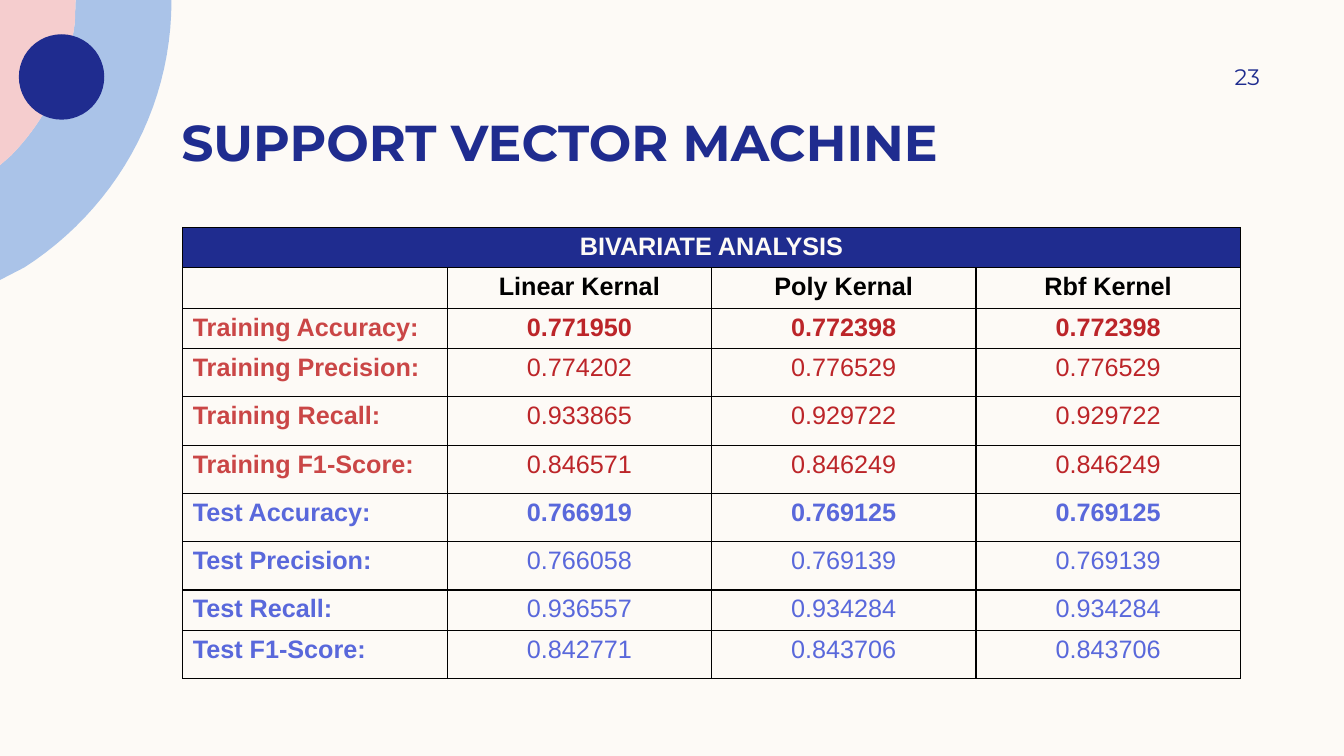
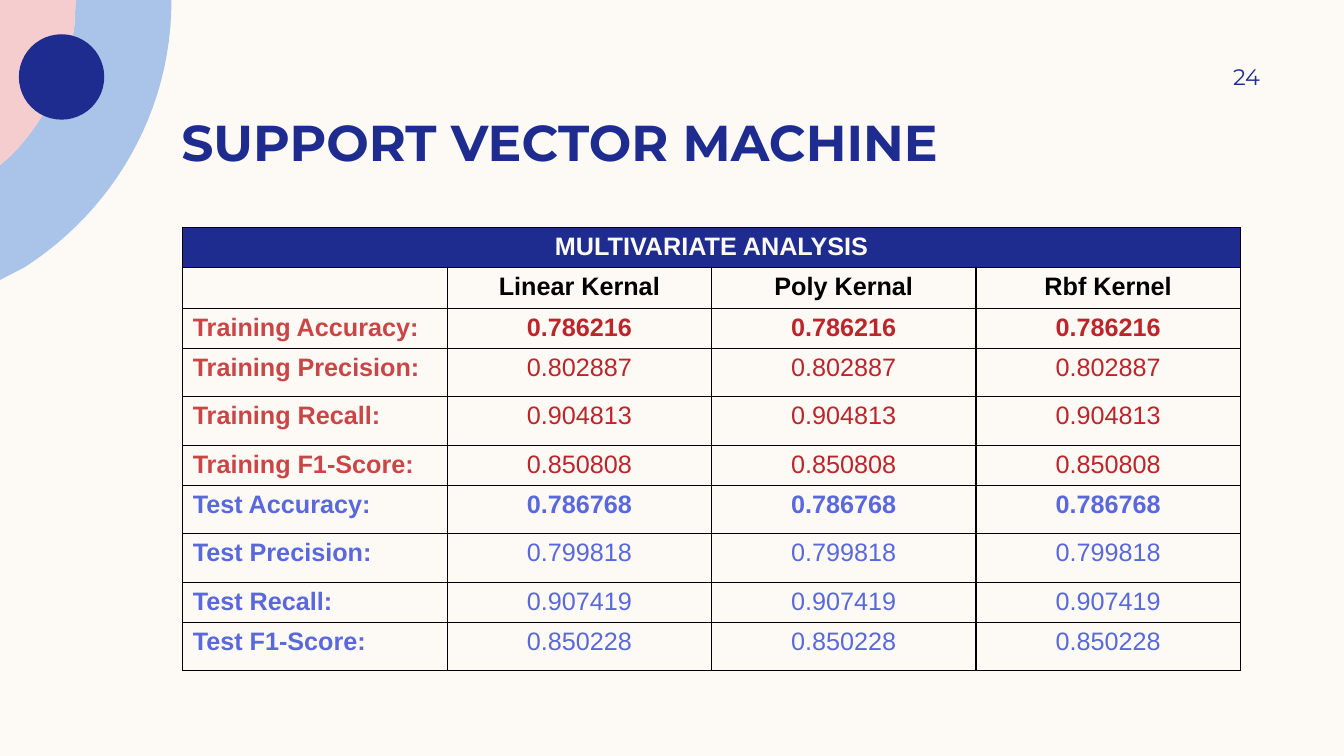
from lxml import etree
from pptx import Presentation
from pptx.dml.color import RGBColor
from pptx.enum.shapes import MSO_SHAPE
from pptx.enum.text import MSO_ANCHOR, MSO_AUTO_SIZE, PP_ALIGN
from pptx.oxml.ns import qn
from pptx.util import Pt

SLIDE_W, SLIDE_H = 1920, 1080
SCALE = 12192000 / SLIDE_W  # EMU per px

OVAL = MSO_SHAPE.OVAL
TOP, MIDDLE, BOTTOM = MSO_ANCHOR.TOP, MSO_ANCHOR.MIDDLE, MSO_ANCHOR.BOTTOM
LEFT, CENTER, RIGHT = PP_ALIGN.LEFT, PP_ALIGN.CENTER, PP_ALIGN.RIGHT
NO_AUTOFIT = MSO_AUTO_SIZE.NONE
TITLE_ONLY = 5

CREAM, NAVY, BLUE, PINK, BLACK = "FDFAF6", "1F2C8F", "AAC3E8", "F5CDCE", "000000"
TRAINING_LABEL, TRAINING_VALUE, TEST = "CA4646", "BC2529", "5968DB"

TITLE_BOX = (245, 92, 1555, 154)
NUMBER_BOX = (1632, 72, 168, 75)
TABLE_BOX = (261, 325, 1511)
SHORT_ROW, TALL_ROW = 55, 69

TITLE_FONT = {"name": "Montserrat", "size": Pt(36), "bold": True}
NUMBER_FONT = {"name": "Montserrat", "size": Pt(16), "bold": False}
TABLE_FONT = {"name": "Arial", "size": Pt(18)}

KERNELS = ["Linear Kernal", "Poly Kernal", "Rbf Kernel"]
METRICS = ["Accuracy", "Precision", "Recall", "F1-Score"]
LABELS = [f"{phase} {metric}:" for phase in ("Training", "Test") for metric in METRICS]

ANALYSES = [
    {
        "number": "23",
        "heading": "BIVARIATE ANALYSIS",
        "short_rows": {"Training Accuracy:", "Test Recall:"},
        "scores": [
            ("0.771950", "0.772398", "0.772398"),
            ("0.774202", "0.776529", "0.776529"),
            ("0.933865", "0.929722", "0.929722"),
            ("0.846571", "0.846249", "0.846249"),
            ("0.766919", "0.769125", "0.769125"),
            ("0.766058", "0.769139", "0.769139"),
            ("0.936557", "0.934284", "0.934284"),
            ("0.842771", "0.843706", "0.843706"),
        ],
    },
    {
        "number": "24",
        "heading": "MULTIVARIATE ANALYSIS",
        "short_rows": {"Training Accuracy:", "Training F1-Score:", "Test Recall:"},
        # All three kernels score the same
        "scores": [(score,) * 3 for score in (
            "0.786216", "0.802887", "0.904813", "0.850808",
            "0.786768", "0.799818", "0.907419", "0.850228",
        )],
    },
]


def px(length):
    return round(length * SCALE)


def color(hex_value):
    return RGBColor.from_string(hex_value)


def set_attributes(target, values):
    for name, value in values.items():
        setattr(target, name, value)


def place(shape, box):
    set_attributes(shape, dict(zip(("left", "top", "width", "height"), map(px, box))))


def write(frame, text, font, hex_value, align):
    paragraph = frame.paragraphs[0]
    paragraph.alignment = align
    run = paragraph.add_run()
    run.text = text
    set_attributes(run.font, font)
    run.font.color.rgb = color(hex_value)


def paint(shape, hex_value):
    shape.shadow.inherit = False
    shape.fill.solid()
    shape.fill.fore_color.rgb = color(hex_value)
    shape.line.fill.background()


def curve(start, control_1, control_2, end, steps=24):
    """Points along a cubic Bezier curve."""
    points = []
    for step in range(steps + 1):
        t = step / steps
        u = 1 - t
        weights = (u ** 3, 3 * u * u * t, 3 * u * t * t, t ** 3)
        points.append(tuple(
            sum(w * c for w, c in zip(weights, axis))
            for axis in zip(start, control_1, control_2, end)
        ))
    return points


def add_outline(shapes, left, top, points, hex_value):
    corners = [(px(left + x), px(top + y)) for x, y in points]
    builder = shapes.build_freeform(*corners[0], scale=1.0)
    builder.add_line_segments(corners[1:], close=True)
    outline = builder.convert_to_shape()
    paint(outline, hex_value)
    return outline


def add_corner(shapes, left, top):
    """Quarter rings and dot in the corner."""
    outer_edge = curve((245, 1), (245, 161), (161, 301), (35, 382))
    inner_edge = curve((107, 32), (98, 105), (66, 171), (16, 222))
    ring = [(108, 0), (245, 0), *outer_edge, (0, 400), (0, 236), *reversed(inner_edge)]
    core = [(0, 0), (108, 0), *inner_edge, (0, 236)]
    parts = [
        add_outline(shapes, left, top, ring, BLUE),
        add_outline(shapes, left, top, core, PINK),
    ]
    dot = shapes.add_shape(OVAL, px(left + 27), px(top + 49), px(122), px(122))
    paint(dot, NAVY)
    return parts + [dot]


def style_layout(layout):
    """Background and title place shared by the slides."""
    layout.background.fill.solid()
    layout.background.fill.fore_color.rgb = color(CREAM)
    for placeholder in list(layout.placeholders):
        if placeholder.placeholder_format.idx == 0:
            place(placeholder, TITLE_BOX)
        else:
            layout.shapes.element.remove(placeholder.element)


def add_title(slide, text, box):
    title = slide.shapes.title
    place(title, box)
    set_attributes(title.text_frame, {
        "auto_size": NO_AUTOFIT, "vertical_anchor": BOTTOM, "word_wrap": True,
        "margin_left": px(14), "margin_right": px(14), "margin_top": 0, "margin_bottom": 0,
    })
    write(title.text_frame, text, TITLE_FONT, NAVY, LEFT)
    title.text_frame.paragraphs[0].line_spacing = 0.9


def add_number(slide, text, box):
    number = slide.shapes.add_textbox(*map(px, box))
    set_attributes(number.text_frame, {
        "vertical_anchor": MIDDLE, "word_wrap": True, "margin_right": 0,
    })
    write(number.text_frame, text, NUMBER_FONT, NAVY, RIGHT)


def draw_borders(cell):
    properties = cell._tc.get_or_add_tcPr()
    for side in ("lnL", "lnR", "lnT", "lnB"):
        line = etree.SubElement(properties, qn(f"a:{side}"), w=str(Pt(1)))
        fill = etree.SubElement(line, qn("a:solidFill"))
        etree.SubElement(fill, qn("a:srgbClr"), val=BLACK)


def fill_cell(cell, text, hex_value, bold, align):
    cell.vertical_anchor = TOP
    if text:
        write(cell.text_frame, text, {**TABLE_FONT, "bold": bold}, hex_value, align)
    else:
        cell.text_frame.paragraphs[0].font.size = TABLE_FONT["size"]


def add_scores(slide, analysis, box):
    left, top, width = box
    heights = [SHORT_ROW] * 2 + [
        SHORT_ROW if label in analysis["short_rows"] else TALL_ROW for label in LABELS
    ]
    table = slide.shapes.add_table(
        len(heights), 1 + len(KERNELS), px(left), px(top), px(width), px(sum(heights))
    ).table
    table.first_row = table.horz_banding = False
    for row, height in zip(table.rows, heights):
        row.height = px(height)
    for cell in table.iter_cells():
        draw_borders(cell)
        cell.fill.background()

    # Heading band and kernel names
    heading = table.cell(0, 0)
    heading.merge(table.cell(0, len(KERNELS)))
    heading.fill.solid()
    heading.fill.fore_color.rgb = color(NAVY)
    fill_cell(heading, analysis["heading"], CREAM, True, CENTER)
    for column, kernel in enumerate(["", *KERNELS]):
        fill_cell(table.cell(1, column), kernel, BLACK, True, CENTER)

    # Scores
    for row, (label, scores) in enumerate(zip(LABELS, analysis["scores"]), start=2):
        training = label.startswith("Training")
        label_color = TRAINING_LABEL if training else TEST
        score_color = TRAINING_VALUE if training else TEST
        fill_cell(table.cell(row, 0), label, label_color, True, LEFT)
        for column, score in enumerate(scores, start=1):
            fill_cell(table.cell(row, column), score, score_color, "Accuracy" in label, CENTER)


def add_analysis_slide(slide, analysis):
    add_title(slide, "SUPPORT VECTOR MACHINE", TITLE_BOX)
    add_number(slide, analysis["number"], NUMBER_BOX)
    add_scores(slide, analysis, TABLE_BOX)


def main():
    prs = Presentation()
    prs.slide_width, prs.slide_height = px(SLIDE_W), px(SLIDE_H)
    layout = prs.slide_layouts[TITLE_ONLY]
    style_layout(layout)
    slides = [prs.slides.add_slide(layout) for _ in ANALYSES]
    # Corner art is drawn once, then moved behind the layout's title
    for depth, part in enumerate(add_corner(slides[0].shapes, 0, 0), start=2):
        layout.shapes.element.insert(depth, part.element)
    for slide, analysis in zip(slides, ANALYSES):
        add_analysis_slide(slide, analysis)
    prs.save("out.pptx")


if __name__ == "__main__":
    main()
